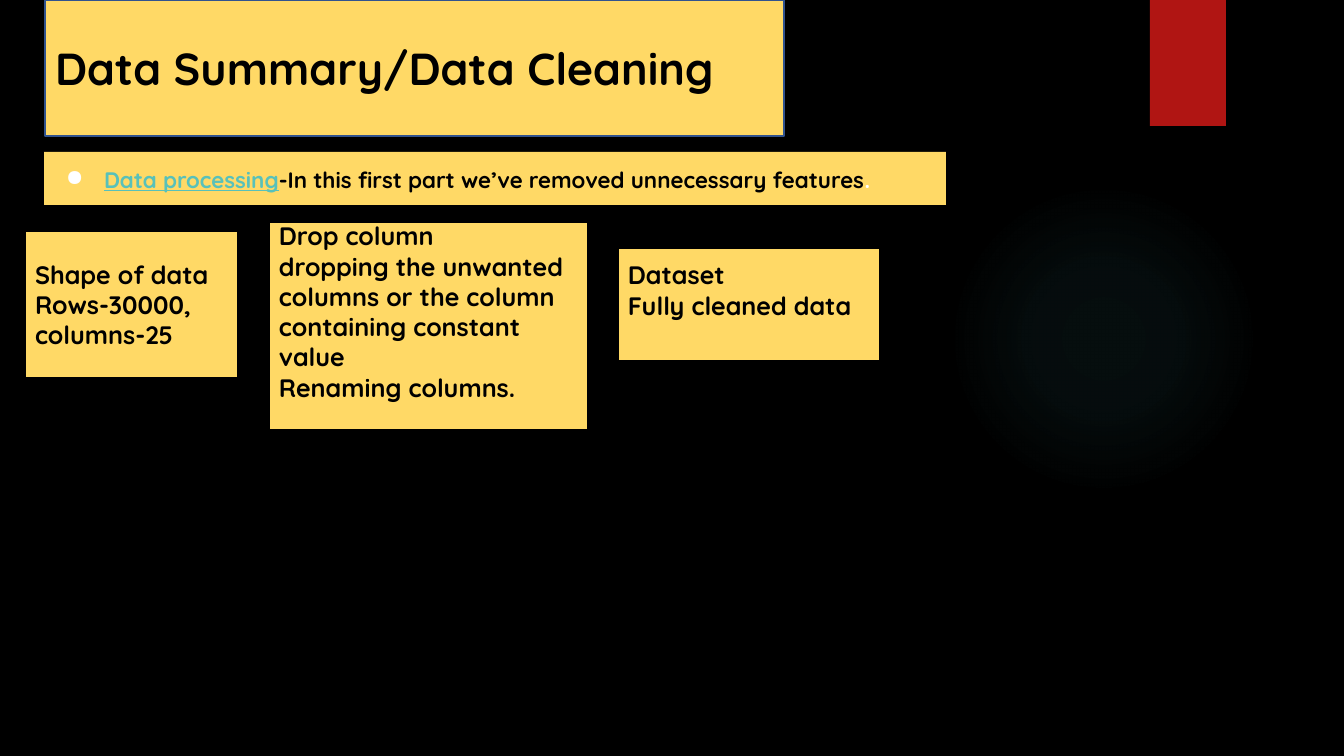
from lxml import etree
from pptx import Presentation
from pptx.dml.color import RGBColor
from pptx.enum.shapes import MSO_SHAPE as SHAPE
from pptx.enum.text import MSO_ANCHOR as ANCHOR, MSO_AUTO_SIZE as FIT, PP_ALIGN as ALIGN
from pptx.oxml import parse_xml
from pptx.oxml.ns import nsdecls, qn
from pptx.util import Pt

EMU_PER_PX = 914400 / 100.8
YELLOW, RED, TEAL = "FFD966", "B01513", "58C1BA"
BLACK, WHITE, NAVY = "000000", "FFFFFF", "31538F"
GLOW = "50B9C1"
GLOW_STOPS = [(0, 7), (36, 6), (69, 0)]
BOLD = {"name": "Quicksand", "bold": True}


def px(n):
    return round(n * EMU_PER_PX)


def color(hex_value):
    return RGBColor.from_string(hex_value)


def set_attrs(obj, values):
    for name, value in values.items():
        setattr(obj, name, value)


def place(sp, box):
    set_attrs(sp, dict(zip(("left", "top", "width", "height"), map(px, box))))


def paint(sp, fill, line=None):
    sp.fill.solid()
    sp.fill.fore_color.rgb = color(fill)
    if line:
        sp.line.color.rgb = color(line)
        sp.line.width = Pt(1)
    else:
        sp.line.fill.background()


def add_shape(slide, kind, box, fill, line=None):
    sp = slide.shapes.add_shape(kind, *map(px, box))
    sp.shadow.inherit = False
    paint(sp, fill, line)
    return sp


def set_frame(tf, anchor=ANCHOR.MIDDLE, top=5, bottom=5, fit=FIT.NONE):
    set_attrs(tf, {"word_wrap": True, "auto_size": fit, "vertical_anchor": anchor,
                   "margin_left": px(10), "margin_right": px(10),
                   "margin_top": px(top), "margin_bottom": px(bottom)})


def add_run(p, text, size, hex_value=BLACK, underline=False):
    p.alignment = ALIGN.LEFT
    r = p.add_run()
    r.text = text
    set_attrs(r.font, {**BOLD, "size": Pt(size), "underline": underline})
    r.font.color.rgb = color(hex_value)


def draw_glow(slide, box):
    sp = add_shape(slide, SHAPE.OVAL, box, GLOW)
    stops = "".join(
        f'<a:gs pos="{pos * 1000}"><a:srgbClr val="{GLOW}">'
        f'<a:alpha val="{alpha * 1000}"/></a:srgbClr></a:gs>'
        for pos, alpha in GLOW_STOPS)
    grad = parse_xml(
        f'<a:gradFill {nsdecls("a")}><a:gsLst>{stops}</a:gsLst><a:path path="circle">'
        '<a:fillToRect l="50000" t="50000" r="50000" b="50000"/></a:path></a:gradFill>')
    solid = sp.element.spPr.find(qn("a:solidFill"))
    sp.element.spPr.replace(solid, grad)


def draw_title(slide, box, text):
    sp = slide.shapes.title
    place(sp, box)
    paint(sp, YELLOW, NAVY)
    set_frame(sp.text_frame)
    add_run(sp.text_frame.paragraphs[0], text, 32)


def draw_bullet_bar(slide, box, runs):
    sp = add_shape(slide, SHAPE.RECTANGLE, box, YELLOW)
    tf = sp.text_frame
    set_frame(tf, ANCHOR.TOP, 10, 10, FIT.SHAPE_TO_FIT_TEXT)
    p = tf.paragraphs[0]
    p.line_spacing = 1.15
    for run in runs:
        add_run(p, run[0], 16, *run[1:])
    pPr = p._p.get_or_add_pPr()
    pPr.set("marL", str(px(50)))
    pPr.set("indent", str(px(-38)))
    bullet_color = etree.SubElement(pPr, qn("a:buClr"))
    etree.SubElement(bullet_color, qn("a:srgbClr"), val=WHITE)
    etree.SubElement(pPr, qn("a:buChar"), char="●")


def draw_card(slide, box, lines, bottom):
    sp = add_shape(slide, SHAPE.RECTANGLE, box, YELLOW, BLACK)
    tf = sp.text_frame
    set_frame(tf, bottom=bottom)
    for i, line in enumerate(lines):
        p = tf.add_paragraph() if i else tf.paragraphs[0]
        add_run(p, line, 18)


def main():
    prs = Presentation()
    prs.slide_width, prs.slide_height = px(1344), px(756)
    slide = prs.slides.add_slide(prs.slide_layouts[5])
    slide.background.fill.solid()
    slide.background.fill.fore_color.rgb = color(BLACK)

    draw_glow(slide, (949, 184, 310, 310))
    add_shape(slide, SHAPE.RECTANGLE, (1150, 0, 76, 126), RED)
    draw_title(slide, (45, 0, 739, 136), "Data Summary/Data Cleaning")
    draw_bullet_bar(slide, (44, 152, 902, 53), [
        ("Data processing", TEAL, True),
        ("-In this first part we’ve removed unnecessary features",),
        (".", WHITE),
    ])
    cards = [
        ((25, 231, 213, 147), ["Shape of data", "Rows-30000, columns-25"], 5),
        ((269, 222, 319, 208),
         ["Drop column",
          "dropping the unwanted columns or the column containing constant value",
          "Renaming columns."], 34),
        ((618, 248, 262, 113), ["Dataset", "Fully cleaned data"], 34),
    ]
    for card in cards:
        draw_card(slide, *card)
    prs.save("out.pptx")


if __name__ == "__main__":
    main()
